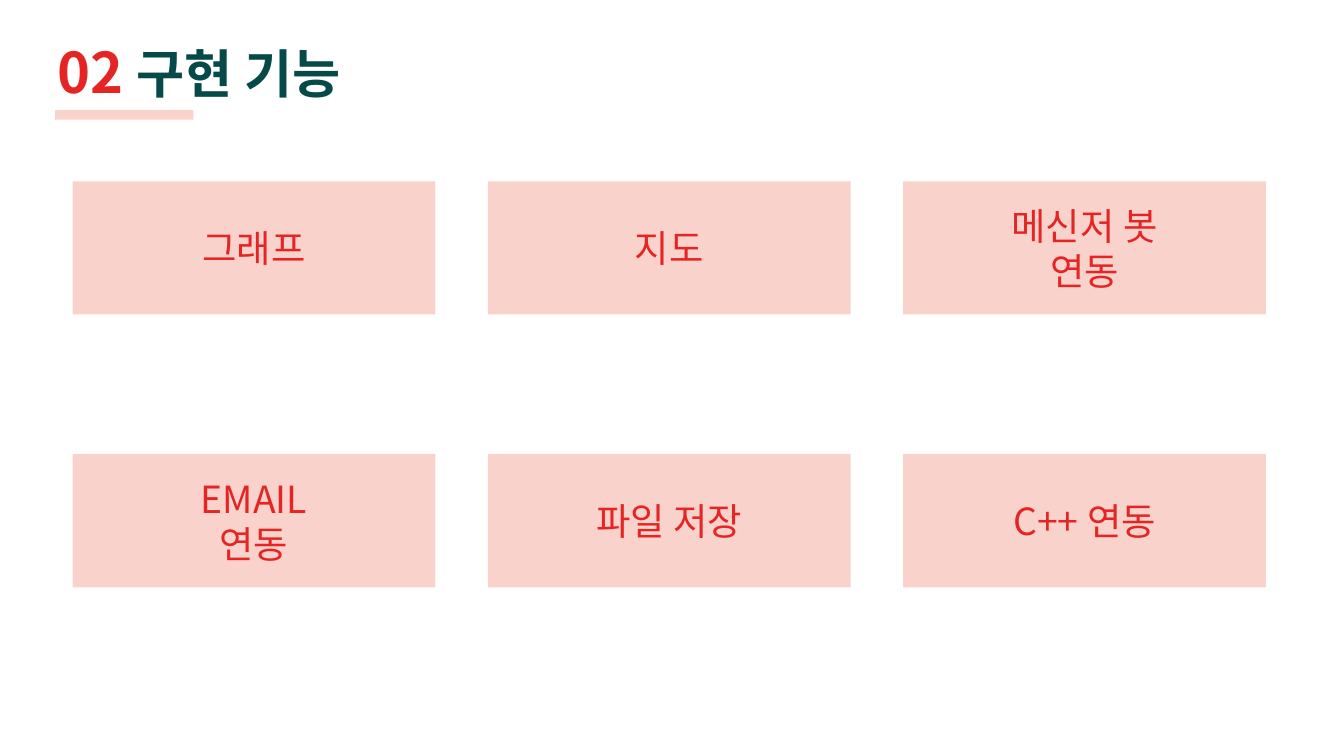
from lxml import etree
from pptx import Presentation
from pptx.dml.color import RGBColor
from pptx.enum.shapes import MSO_SHAPE as Shape
from pptx.enum.text import MSO_ANCHOR as Anchor, PP_ALIGN as Align
from pptx.oxml.ns import qn
from pptx.util import Inches, Pt

FONT = "Noto Sans CJK KR"
RED, TEAL, PINK = "E42524", "064949", "F4AA9E"
FEATURES = [
    ["그래프", "지도", "메신저 봇\n연동"],
    ["EMAIL\n연동", "파일 저장", "C++ 연동"],
]


def color(value):
    return RGBColor.from_string(value)


def style_font(font, size, value, bold=False):
    font.size = Pt(size)
    font.bold = bold
    font.color.rgb = color(value)
    font.name = FONT
    # Korean glyphs take the East Asian typeface
    etree.SubElement(font._rPr, qn("a:ea"), typeface=FONT)


def set_frame(frame, anchor):
    frame.word_wrap = True
    frame.vertical_anchor = anchor
    frame.margin_left = frame.margin_right = Inches(0.1)
    frame.margin_top = frame.margin_bottom = Inches(0.1)


def add_panel(page, left, top, width, height):
    """Half-transparent pink rectangle without outline."""
    box = page.shapes.add_shape(Shape.RECTANGLE, Inches(left), Inches(top),
                                Inches(width), Inches(height))
    box.shadow.inherit = False
    box.line.fill.background()
    box.fill.solid()
    box.fill.fore_color.rgb = color(PINK)
    fill = box.fill._xPr.find(qn("a:solidFill"))
    etree.SubElement(fill[0], qn("a:alpha"), val="52000")
    return box


def add_heading(page, left, top, width, height):
    # Section number and title
    box = page.shapes.add_textbox(Inches(left), Inches(top),
                                  Inches(width), Inches(height))
    set_frame(box.text_frame, Anchor.TOP)
    para = box.text_frame.paragraphs[0]
    for text, size, value in [("02 ", 30, RED), ("구현 기능", 28, TEAL)]:
        span = para.add_run()
        span.text = text
        style_font(span.font, size, value, bold=True)
    # Underline bar
    add_panel(page, left + 0.08, top + 0.64, 1.03, 0.07)


def add_card(page, left, top, width, height, text):
    box = add_panel(page, left, top, width, height)
    frame = box.text_frame
    set_frame(frame, Anchor.MIDDLE)
    frame.text = text
    for para in frame.paragraphs:
        para.alignment = Align.CENTER
        style_font(para.font, 20, RED)


def add_feature_grid(page, left, top, width, height):
    card_width, card_height = 2.7, 0.99
    column_step = (width - card_width) / (len(FEATURES[0]) - 1)
    row_step = (height - card_height) / (len(FEATURES) - 1)
    for row, names in enumerate(FEATURES):
        for column, name in enumerate(names):
            add_card(page, left + column * column_step, top + row * row_step,
                     card_width, card_height, name)


def main():
    deck = Presentation()
    # Widescreen page, 16 to 9
    deck.slide_width = Inches(10)
    deck.slide_height = Inches(10) * 9 // 16
    page = deck.slides.add_slide(deck.slide_layouts[6])
    add_heading(page, 0.33, 0.18, 9.32, 0.63)
    add_feature_grid(page, 0.54, 1.35, 8.88, 3.02)
    deck.save("out.pptx")


if __name__ == "__main__":
    main()
